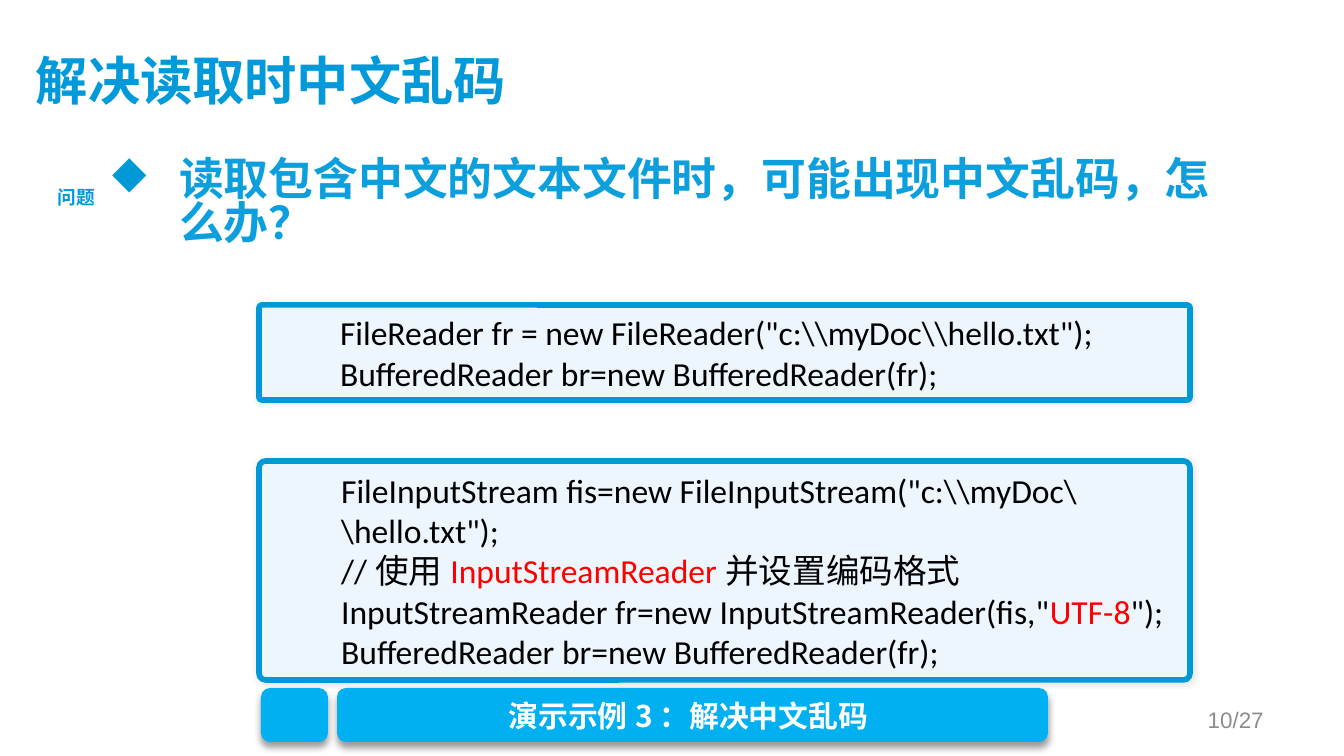
from lxml import etree
from pptx import Presentation
from pptx.dml.color import RGBColor
from pptx.enum.shapes import MSO_SHAPE
from pptx.enum.text import MSO_ANCHOR, PP_ALIGN
from pptx.oxml.ns import qn
from pptx.util import Emu, Pt

ROUNDED = MSO_SHAPE.ROUNDED_RECTANGLE
LEFT, CENTER, RIGHT = PP_ALIGN.LEFT, PP_ALIGN.CENTER, PP_ALIGN.RIGHT
TOP, MIDDLE = MSO_ANCHOR.TOP, MSO_ANCHOR.MIDDLE

PX = 914400 / 134.4
BLUE, BLACK, RED, WHITE = "0099D8", "000000", "FF0000", "FFFFFF"
CJK = "Noto Sans CJK SC"
INDENT = 67

# Each line is a list of (text, colour) spans
READER_CODE = [
    [(r'FileReader fr = new FileReader("c:\\myDoc\\hello.txt");', BLACK)],
    [("BufferedReader br=new BufferedReader(fr);", BLACK)],
]
STREAM_CODE = [
    [(r'FileInputStream fis=new FileInputStream("c:\\myDoc\\hello.txt");', BLACK)],
    [("//使用", BLACK), ("InputStreamReader", RED), ("并设置编码格式", BLACK)],
    [('InputStreamReader fr=new InputStreamReader(fis,"', BLACK),
     ("UTF-8", RED), ('");', BLACK)],
    [("BufferedReader br=new BufferedReader(fr);", BLACK)],
]


def px(length):
    return Emu(round(length * PX))


def color(hex_code):
    return RGBColor.from_string(hex_code)


def place(shape, left, top, width, height):
    shape.left, shape.top = px(left), px(top)
    shape.width, shape.height = px(width), px(height)


def set_font(font, size, name, hex_code=None, bold=False):
    font.size, font.name, font.bold = Pt(size), name, bold
    if hex_code:
        font.color.rgb = color(hex_code)


def set_east_asian(span):
    properties = span._r.get_or_add_rPr()
    etree.SubElement(properties, qn("a:ea"), typeface=CJK)


def write(frame, text, size, name, hex_code, align=LEFT, anchor=TOP, wrap=True):
    frame.word_wrap = wrap
    frame.vertical_anchor = anchor
    para = frame.paragraphs[0]
    para.alignment = align
    span = para.add_run()
    span.text = text
    set_east_asian(span)
    return para, (size, name, hex_code)


def add_text(page, bounds, text, size, name, hex_code, bold=True, **layout):
    box = page.shapes.add_textbox(*map(px, bounds))
    para, style = write(box.text_frame, text, size, name, hex_code, **layout)
    set_font(para.font, *style, bold)
    return box


def set_bullet(para, char, hex_code, indent):
    properties = para._p.get_or_add_pPr()
    properties.set("marL", str(px(indent)))
    properties.set("indent", str(px(-indent)))
    bullet_color = etree.SubElement(properties, qn("a:buClr"))
    etree.SubElement(bullet_color, qn("a:srgbClr"), val=hex_code)
    etree.SubElement(properties, qn("a:buChar"), char=char)


def set_shadow(shape, opacity, blur, distance, angle):
    shape.shadow.inherit = False
    effects = shape._element.spPr.find(qn("a:effectLst"))
    outer = etree.SubElement(
        effects, qn("a:outerShdw"), blurRad=str(Pt(blur)),
        dist=str(Pt(distance)), dir=str(angle * 60000), rotWithShape="0")
    tint = etree.SubElement(outer, qn("a:srgbClr"), val=BLACK)
    etree.SubElement(tint, qn("a:alpha"), val=str(opacity * 1000))


def add_panel(page, bounds, fill, shadow):
    panel = page.shapes.add_shape(ROUNDED, *map(px, bounds))
    panel.fill.solid()
    panel.fill.fore_color.rgb = color(fill)
    panel.line.fill.background()
    set_shadow(panel, *shadow)
    return panel


def add_code(page, bounds, lines):
    panel = add_panel(page, bounds, "EDF5FD", (10, 3, 0, 0))
    panel.adjustments[0] = 0.03
    panel.line.color.rgb = color(BLUE)
    panel.line.width = Pt(3)
    frame = panel.text_frame
    frame.word_wrap = True
    frame.vertical_anchor = TOP
    for number, spans in enumerate(lines):
        para = frame.add_paragraph() if number else frame.paragraphs[0]
        para.alignment = LEFT
        para._p.get_or_add_pPr().set("marL", str(px(INDENT)))
        set_font(para.font, 18, "Calibri")
        for text, hex_code in spans:
            span = para.add_run()
            span.text = text
            span.font.color.rgb = color(hex_code)
            set_east_asian(span)


def add_title(page, text):
    title = page.shapes.title
    place(title, 36, 31, 1203, 103)
    frame = title.text_frame
    frame.margin_left = frame.margin_top = 0
    para, style = write(frame, text, 28, CJK, "0099D9", anchor=MIDDLE)
    set_font(para.font, *style, bold=True)


def add_question(page, bounds, text):
    box = page.shapes.add_textbox(*map(px, bounds))
    para, style = write(box.text_frame, text, 24, CJK, "0B9FDD")
    para.line_spacing = 0.83
    set_bullet(para, "◆", BLUE, INDENT)
    set_font(para.font, *style, bold=True)


def main():
    deck = Presentation()
    deck.slide_width, deck.slide_height = px(1344), px(756)
    page = deck.slides.add_slide(deck.slide_layouts[5])

    # Title and question
    add_title(page, "解决读取时中文乱码")
    add_question(page, (99, 153, 1141, 499),
                 "读取包含中文的文本文件时，可能出现中文乱码，怎么办？")

    # Code before and after the fix
    add_code(page, (259, 305, 931, 95), READER_CODE)
    add_code(page, (259, 461, 931, 219), STREAM_CODE)

    # Demo button
    for left, width in ((261, 67), (337, 711)):
        add_panel(page, (left, 688, width, 54), "00B0F0", (40, 4, 3, 90))
    add_text(page, (314, 694, 749, 44), "演示示例3：解决中文乱码",
             16, CJK, WHITE, align=CENTER, anchor=MIDDLE)

    # Question tag and page number
    add_text(page, (44, 179, 65, 36), "问题", 10, "Arial", BLUE,
             align=CENTER, wrap=False)
    add_text(page, (964, 700, 313, 40), "10/27", 12, "Arial", "8C8C8C",
             bold=False, align=RIGHT, anchor=MIDDLE)

    deck.save("out.pptx")


if __name__ == "__main__":
    main()
